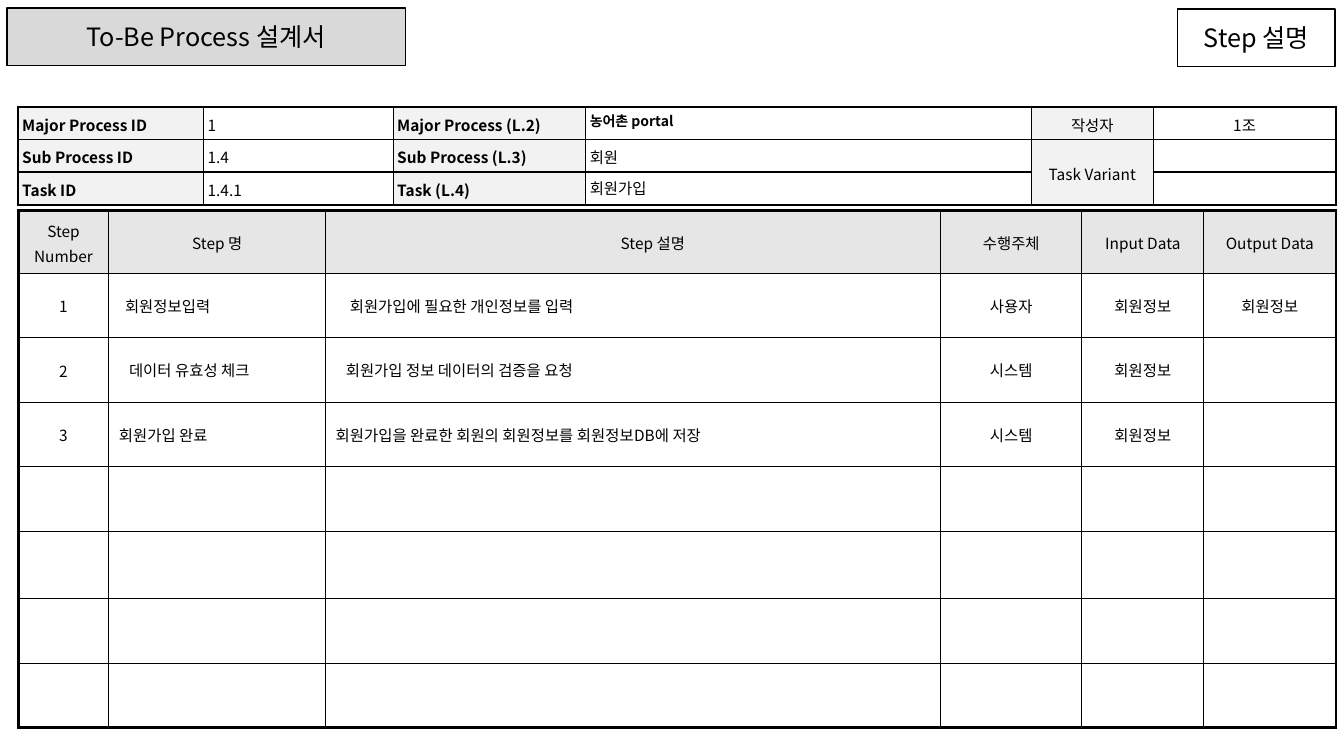
from lxml import etree
from pptx import Presentation
from pptx.dml.color import RGBColor
from pptx.enum.shapes import MSO_SHAPE
from pptx.enum.text import MSO_ANCHOR, MSO_AUTO_SIZE, PP_ALIGN
from pptx.oxml.ns import qn
from pptx.util import Inches, Pt

LEFT, CENTER = PP_ALIGN.LEFT, PP_ALIGN.CENTER
TOP, MIDDLE = MSO_ANCHOR.TOP, MSO_ANCHOR.MIDDLE
NO_AUTOFIT = MSO_AUTO_SIZE.NONE
RECT = MSO_SHAPE.RECTANGLE
FONT = "Noto Sans CJK KR"
BLACK, TITLE_GREY, LABEL_GREY, HEADER_GREY = "000000", "D9D9D9", "F2F2F2", "E6E6E6"

INFO_COLS = [1.84, 1.88, 1.91, 4.42, 1.21, 1.81]
INFO_ROWS = [
    ["Major Process ID", "1", "Major Process (L.2)", "농어촌 portal", "작성자", "1조"],
    ["Sub Process ID", "1.4", "Sub Process (L.3)", "회원", "Task Variant", ""],
    ["Task ID", "1.4.1", "Task (L.4)", "회원가입", "", ""],
]
STEP_COLS = [0.9, 2.15, 6.1, 1.4, 1.21, 1.31]
STEP_HEIGHTS = [0.62] + [0.64] * 4 + [0.67] + [0.64] * 2
STEP_ROWS = [
    ["Step Number", "Step 명", "Step 설명", "수행주체", "Input Data", "Output Data"],
    ["1", "회원정보입력", "회원가입에 필요한 개인정보를 입력", "사용자", "회원정보", "회원정보"],
    ["2", "데이터 유효성 체크", "회원가입 정보 데이터의 검증을 요청", "시스템", "회원정보", ""],
    ["3", "회원가입 완료", "회원가입을 완료한 회원의 회원정보를 회원정보DB에 저장", "시스템", "회원정보", ""],
] + [[""] * 6] * 4
# Left indents by (row, column)
STEP_INDENTS = {(0, 2): 0.39, (1, 1): 0.1, (1, 2): 0.18, (2, 1): 0.14,
                (2, 2): 0.14, (3, 1): 0.04, (3, 2): 0.04}


def color(hex_text):
    return RGBColor.from_string(hex_text)


def write(tf, text, size, align=LEFT, bold=False, spacing=None, indent=0):
    p = tf.paragraphs[0]
    p.alignment = align
    if spacing:
        p.line_spacing = spacing
    if indent:
        p._p.get_or_add_pPr().set("marL", str(Inches(indent)))
    if not text:
        p._p.get_or_add_endParaRPr().set("sz", str(size * 100))
        return
    r = p.add_run()
    r.text = text
    for name, value in dict(name=FONT, size=Pt(size), bold=bold).items():
        setattr(r.font, name, value)
    r.font.color.rgb = color(BLACK)
    etree.SubElement(r._r.get_or_add_rPr(), qn("a:ea"), typeface=FONT)


def heading_box(s, box, text, fill=None):
    for name, value in zip(("left", "top", "width", "height"), box):
        setattr(s, name, Inches(value))
    if fill:
        s.fill.solid()
        s.fill.fore_color.rgb = color(fill)
    else:
        s.fill.background()
    s.line.color.rgb = color(BLACK)
    s.line.width = Pt(1)
    tf = s.text_frame
    for name, value in dict(word_wrap=True, auto_size=NO_AUTOFIT,
                            vertical_anchor=MIDDLE).items():
        setattr(tf, name, value)
    write(tf, text, 18, CENTER)


def format_cell(cell, widths, fill, margin_x, anchor):
    for name, value in dict(margin_left=Inches(margin_x), margin_right=Inches(margin_x),
                            margin_top=Inches(0.04), margin_bottom=Inches(0.04),
                            vertical_anchor=anchor).items():
        setattr(cell, name, value)
    tc_pr = cell._tc.get_or_add_tcPr()
    for side, width in zip("LRTB", widths):
        ln = etree.SubElement(tc_pr, qn("a:ln" + side), w=str(Pt(width)))
        solid = etree.SubElement(ln, qn("a:solidFill"))
        etree.SubElement(solid, qn("a:srgbClr"), val=BLACK)
    if fill:
        cell.fill.solid()
        cell.fill.fore_color.rgb = color(fill)
    else:
        cell.fill.background()


def add_grid(slide, left, top, cols, heights):
    frame = slide.shapes.add_table(len(heights), len(cols), Inches(left), Inches(top),
                                   Inches(sum(cols)), Inches(sum(heights)))
    table = frame.table
    table.first_row = table.horz_banding = False
    for column, width in zip(table.columns, cols):
        column.width = Inches(width)
    for row, height in zip(table.rows, heights):
        row.height = Inches(height)
    return table


def edge_widths(r, c, last_row, last_col, outer):
    """Widths for left, right, top, bottom: heavy on the outside, 1 pt inside."""
    on_edge = (c == 0, c == last_col, r == 0, r == last_row)
    return [outer if edge else 1 for edge in on_edge]


def info_table(slide, left, top):
    table = add_grid(slide, left, top, INFO_COLS, [0.31] * 3)
    table.cell(1, 4).merge(table.cell(2, 4))
    for r, texts in enumerate(INFO_ROWS):
        for c, text in enumerate(texts):
            cell = table.cell(r, c)
            widths = edge_widths(r, c, 2, 5, 1.5)
            # Heavy rule below the author cells
            if c >= 4 and r < 2:
                widths[3 if r == 0 else 2] = 1.5
            if (r, c) == (1, 4):
                widths[3] = 1.5
            is_label = c in (0, 2, 4)
            format_cell(cell, widths, LABEL_GREY if is_label else None, 0.04,
                        MIDDLE if c >= 4 else TOP)
            is_name = (r, c) == (0, 3)
            write(cell.text_frame, text, 10 if is_name else 11,
                  CENTER if c >= 4 else LEFT, c in (0, 2) or is_name,
                  None if c == 3 and r != 1 else 1.1)


def step_table(slide, left, top):
    table = add_grid(slide, left, top, STEP_COLS, STEP_HEIGHTS)
    for r, texts in enumerate(STEP_ROWS):
        for c, text in enumerate(texts):
            cell = table.cell(r, c)
            format_cell(cell, edge_widths(r, c, 7, 5, 2.25),
                        HEADER_GREY if r == 0 else None, 0.06, MIDDLE)
            write(cell.text_frame, text, 11,
                  LEFT if r and c in (1, 2) else CENTER,
                  spacing=1.1 if r == 0 or (r, c) == (2, 0) else None,
                  indent=STEP_INDENTS.get((r, c), 0))


def main():
    prs = Presentation()
    prs.slide_width, prs.slide_height = Inches(13.33), Inches(7.5)
    slide = prs.slides.add_slide(prs.slide_layouts[5])

    # Headings
    heading_box(slide.shapes.title, (0.07, 0.08, 3.95, 0.57), "To-Be Process 설계서", TITLE_GREY)
    s = slide.shapes.add_shape(RECT, 0, 0, 0, 0)
    s.shadow.inherit = False
    heading_box(s, (11.68, 0.09, 1.56, 0.57), "Step 설명")

    # Process details, then its steps
    info_table(slide, 0.18, 1.06)
    step_table(slide, 0.18, 2.09)
    prs.save("out.pptx")


if __name__ == "__main__":
    main()
